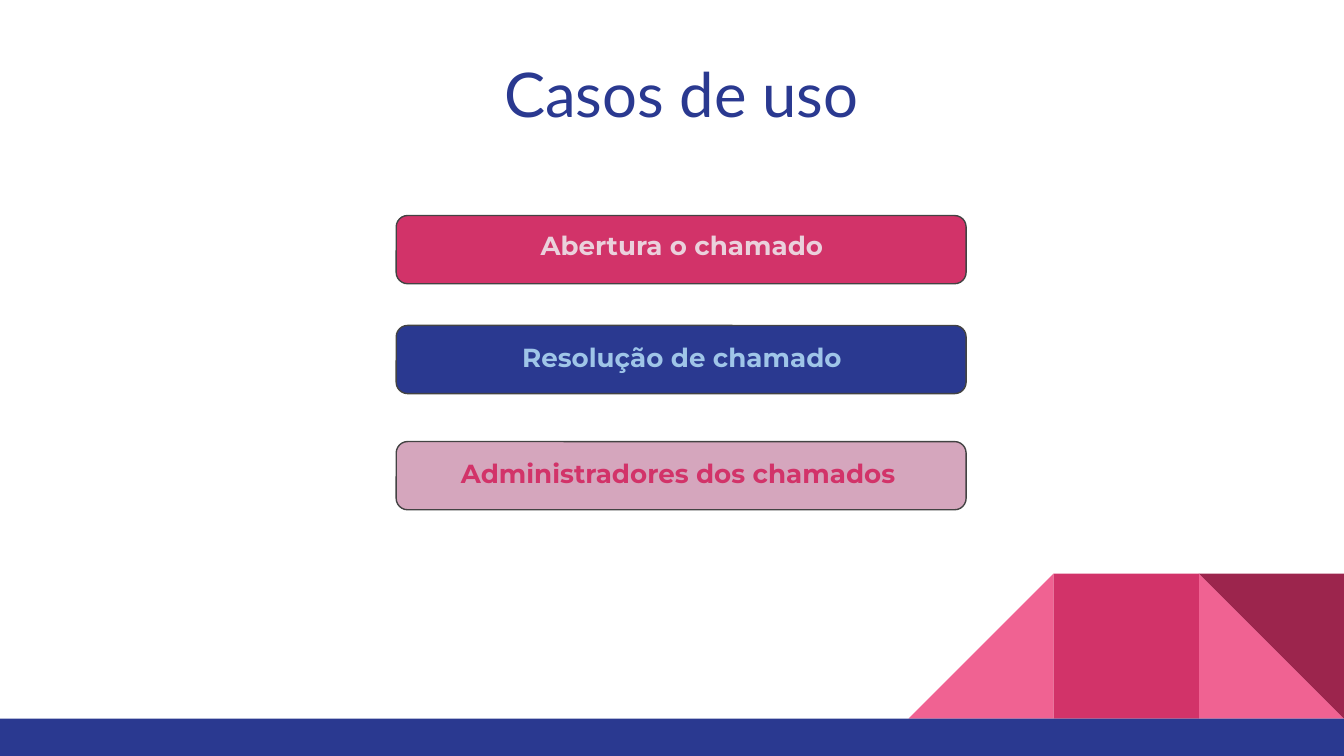
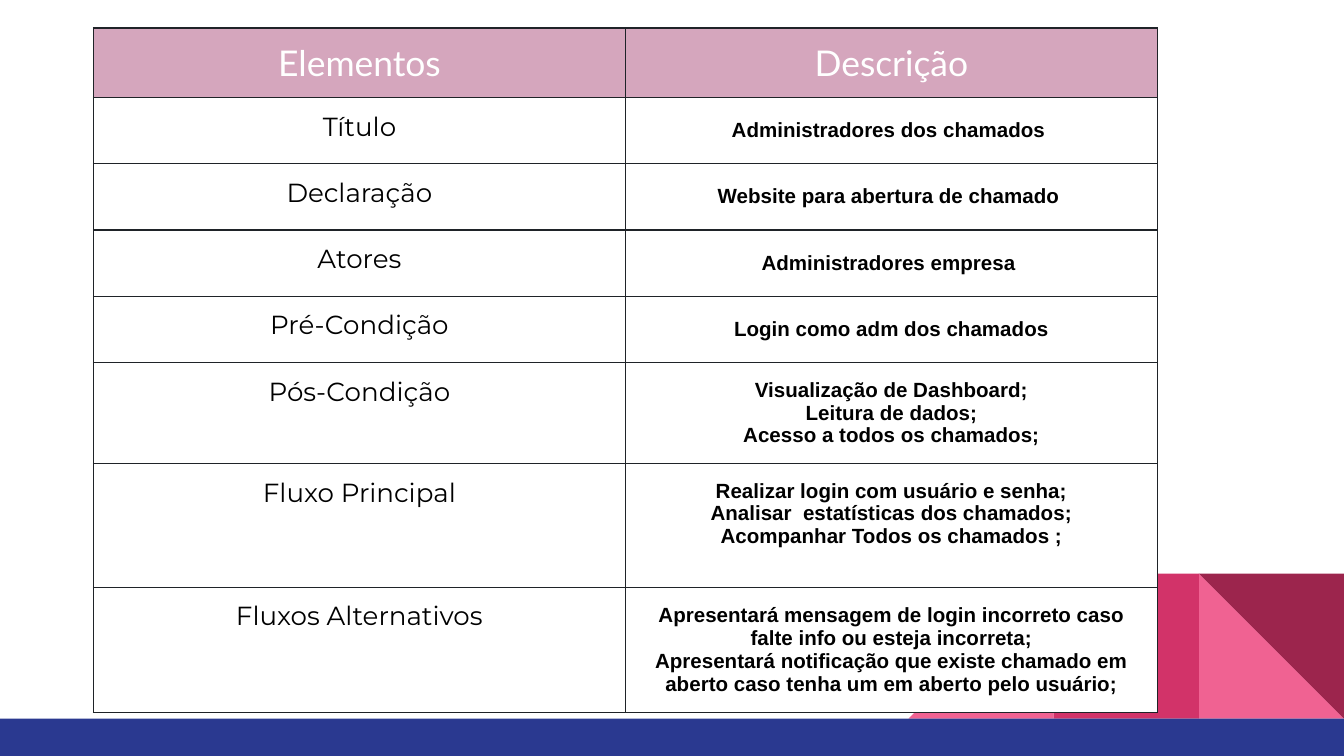
from lxml import etree
from pptx import Presentation
from pptx.dml.color import RGBColor
from pptx.enum.shapes import MSO_SHAPE as SHAPE
from pptx.enum.text import MSO_ANCHOR as ANCHOR, MSO_AUTO_SIZE, PP_ALIGN
from pptx.oxml.ns import qn
from pptx.util import Pt

NAVY = RGBColor(0x2A, 0x39, 0x90)
PINK = RGBColor(0xF0, 0x62, 0x92)
CRIMSON = RGBColor(0xD2, 0x33, 0x69)
WINE = RGBColor(0x9C, 0x25, 0x4D)
MAUVE = RGBColor(0xD5, 0xA6, 0xBD)
BLUSH = RGBColor(0xEA, 0xD1, 0xDC)
SKY = RGBColor(0x9F, 0xC5, 0xE8)
GREY = RGBColor(0x43, 0x43, 0x43)
INK = RGBColor(0x1F, 0x23, 0x28)
BLACK = RGBColor(0, 0, 0)
WHITE = RGBColor(0xFF, 0xFF, 0xFF)

TITLE = "Casos de uso"
# label, bar fill, text colour, bar top, label top, label height
USE_CASES = [
    ("Abertura o chamado", CRIMSON, BLUSH, 115.5, 115.9, 48.2),
    ("Resolução de chamado", NAVY, SKY, 174.4, 181.4, 36.7),
    ("Administradores dos chamados ", MAUVE, CRIMSON, 236.6, 243.5, 36.7),
]
HEADERS = ("Elementos", "Descrição")
HEADER_HEIGHT = 37
# element, description lines, row height
ROWS = [
    ("Título", ["Administradores dos chamados "], 35.5),
    ("Declaração", ["Website para abertura de chamado "], 35.5),
    ("Atores", ["Administradores empresa "], 35.5),
    ("Pré-Condição", ["Login como adm dos chamados"], 35.5),
    ("Pós-Condição", ["Visualização de Dashboard;", "Leitura de dados;",
                      "Acesso a todos os chamados;"], 51.2),
    ("Fluxo Principal", ["Realizar login com usuário e senha;",
                         "Analisar  estatísticas dos chamados;",
                         "Acompanhar Todos os chamados ;"], 63.4),
    ("Fluxos Alternativos", [
        "Apresentará mensagem de login incorreto caso falte info ou esteja incorreta;",
        "Apresentará notificação que existe chamado em aberto caso tenha um em "
        "aberto pelo usuário;"], 63.4),
]

WIDTH, HEIGHT = 720, 405
BAND_HEIGHT, TILE = 20, 77.75
INSET = 7.2
BAR_LEFT, BAR_WIDTH, BAR_HEIGHT = 212.3, 305.3, 36.5
LABEL_LEFT, LABEL_WIDTH, LABEL_LIFT = 215.3, 300.2, 17
TABLE_LEFT, TABLE_TOP, COLUMN_WIDTH = 50.1, 15, 285
FLOW_LIFT = 12.3


def write(tf, lines, *, size, font, color, bold=False):
    tf.text = "\n".join(lines)
    for p in tf.paragraphs:
        p.alignment = PP_ALIGN.CENTER
        for r in p.runs:
            r.font.size, r.font.name, r.font.bold = Pt(size), font, bold
            r.font.color.rgb = color


def set_margins(box, bottom=INSET, top=INSET):
    """Set the insets of a text frame or table cell."""
    box.margin_left = box.margin_right = Pt(INSET)
    box.margin_top, box.margin_bottom = Pt(top), Pt(bottom)


def add_block(shapes, kind, box, fill, line=None, rotation=0):
    sp = shapes.add_shape(kind, *map(Pt, box))
    sp.shadow.inherit = False
    sp.rotation = rotation
    sp.fill.solid()
    sp.fill.fore_color.rgb = fill
    if line is None:
        sp.line.fill.background()
    else:
        sp.line.color.rgb = line
        sp.line.width = Pt(0.75)
    return sp


def add_master_art(prs, slide):
    """Build the corner tiles and band, then move them to the slide master."""
    band_top = HEIGHT - BAND_HEIGHT
    group = slide.shapes.add_group_shape()
    tiles = [(1, SHAPE.RIGHT_TRIANGLE, PINK, 0),
             (3, SHAPE.RIGHT_TRIANGLE, PINK, 270),
             (2, SHAPE.RECTANGLE, CRIMSON, 0),
             (1, SHAPE.RIGHT_TRIANGLE, WINE, 180)]
    for steps, kind, fill, rotation in tiles:
        box = (WIDTH - steps * TILE, band_top - TILE, TILE, TILE)
        add_block(group.shapes, kind, box, fill, rotation=rotation)
    add_block(group.shapes, SHAPE.RECTANGLE, (0, band_top, WIDTH, BAND_HEIGHT), NAVY)
    for number, props in enumerate(group.element.iter(qn("p:cNvPr")), 100):
        props.set("id", str(number))
    prs.slide_master.element.cSld.spTree.insert(2, group.element)


def add_borders(cell):
    tcPr = cell._tc.get_or_add_tcPr()
    for side in ("a:lnL", "a:lnR", "a:lnT", "a:lnB"):
        ln = etree.SubElement(tcPr, qn(side), w=str(Pt(0.75)))
        fill = etree.SubElement(ln, qn("a:solidFill"))
        etree.SubElement(fill, qn("a:srgbClr"), val=str(INK))


def fill_cell(cell, lines, *, fill=WHITE, anchor=ANCHOR.TOP, bottom=INSET, **style):
    add_borders(cell)
    cell.fill.solid()
    cell.fill.fore_color.rgb = fill
    cell.vertical_anchor = anchor
    set_margins(cell, bottom)
    write(cell.text_frame, lines, **style)


def build_use_cases(slide):
    title = slide.shapes.title
    title.left, title.top, title.width, title.height = map(Pt, (29.5, 23, 671, 47.5))
    tf = title.text_frame
    tf.auto_size, tf.vertical_anchor = MSO_AUTO_SIZE.NONE, ANCHOR.TOP
    set_margins(tf)
    write(tf, [TITLE], size=33, font="Lato", color=NAVY)

    for label, fill, color, bar_top, top, height in USE_CASES:
        add_block(slide.shapes, SHAPE.FLOWCHART_ALTERNATE_PROCESS,
                  (BAR_LEFT, bar_top, BAR_WIDTH, BAR_HEIGHT), fill, GREY)
        box = slide.shapes.add_textbox(*map(Pt, (LABEL_LEFT, top, LABEL_WIDTH, height)))
        tf = box.text_frame
        tf.word_wrap, tf.vertical_anchor = True, ANCHOR.MIDDLE
        set_margins(tf, bottom=LABEL_LIFT, top=0)
        write(tf, [label], size=14, font="Montserrat", color=color, bold=True)


def build_details(slide):
    heights = [HEADER_HEIGHT] + [height for *_, height in ROWS]
    frame = slide.shapes.add_table(len(heights), 2, Pt(TABLE_LEFT), Pt(TABLE_TOP),
                                   Pt(2 * COLUMN_WIDTH), Pt(sum(heights)))
    table = frame.table
    table.first_row = table.horz_banding = False
    for column in table.columns:
        column.width = Pt(COLUMN_WIDTH)
    for row, height in zip(table.rows, heights):
        row.height = Pt(height)
    for col, header in enumerate(HEADERS):
        fill_cell(table.cell(0, col), [header], fill=MAUVE,
                  size=19, font="Lato", color=WHITE)
    for row, (element, lines, _) in enumerate(ROWS, 1):
        fill_cell(table.cell(row, 0), [element], size=14, font="Montserrat", color=BLACK)
        lift = FLOW_LIFT if element == "Fluxo Principal" else 0
        fill_cell(table.cell(row, 1), lines, anchor=ANCHOR.MIDDLE, bottom=INSET + lift,
                  size=11, font="Arial", color=BLACK, bold=True)


def main():
    prs = Presentation()
    prs.slide_width, prs.slide_height = Pt(WIDTH), Pt(HEIGHT)
    title_only = prs.slide_layouts.get_by_name("Title Only")
    blank = prs.slide_layouts.get_by_name("Blank")
    use_cases = prs.slides.add_slide(title_only)
    add_master_art(prs, use_cases)
    build_use_cases(use_cases)
    build_details(prs.slides.add_slide(blank))
    prs.save("out.pptx")


if __name__ == "__main__":
    main()
